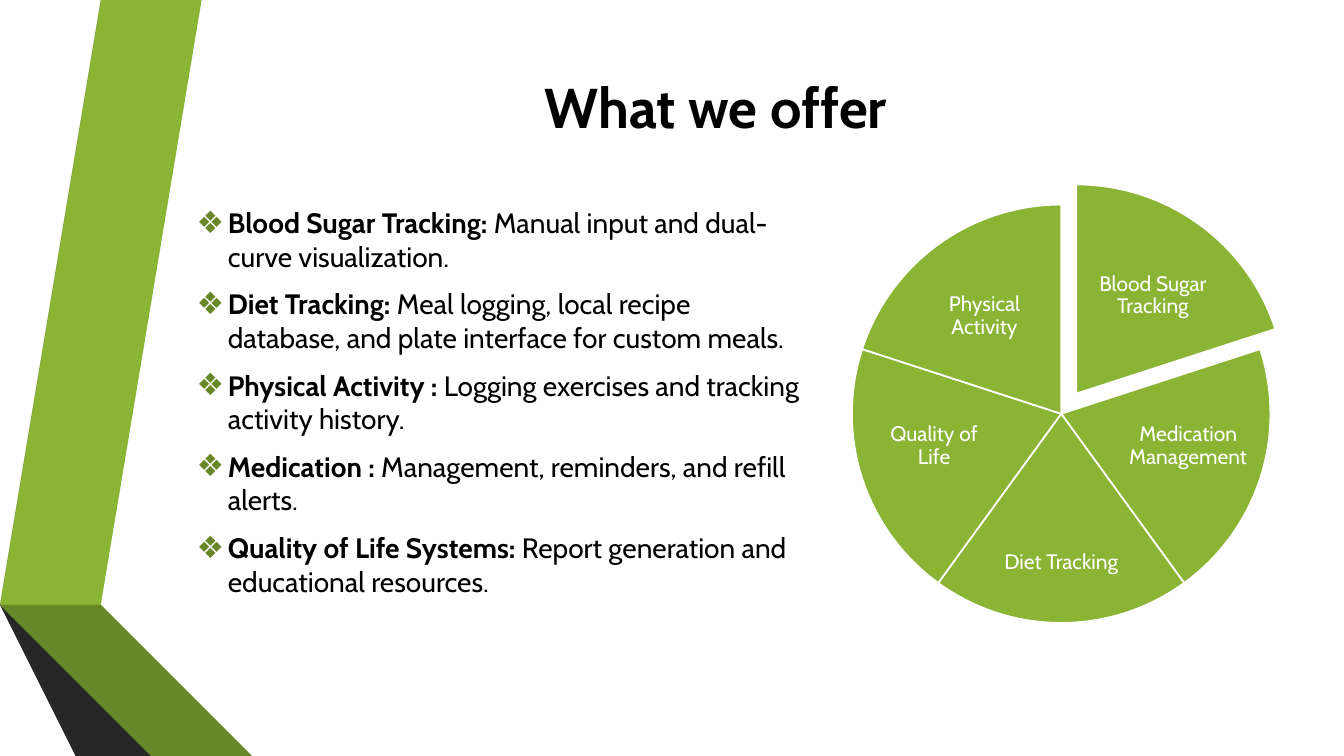
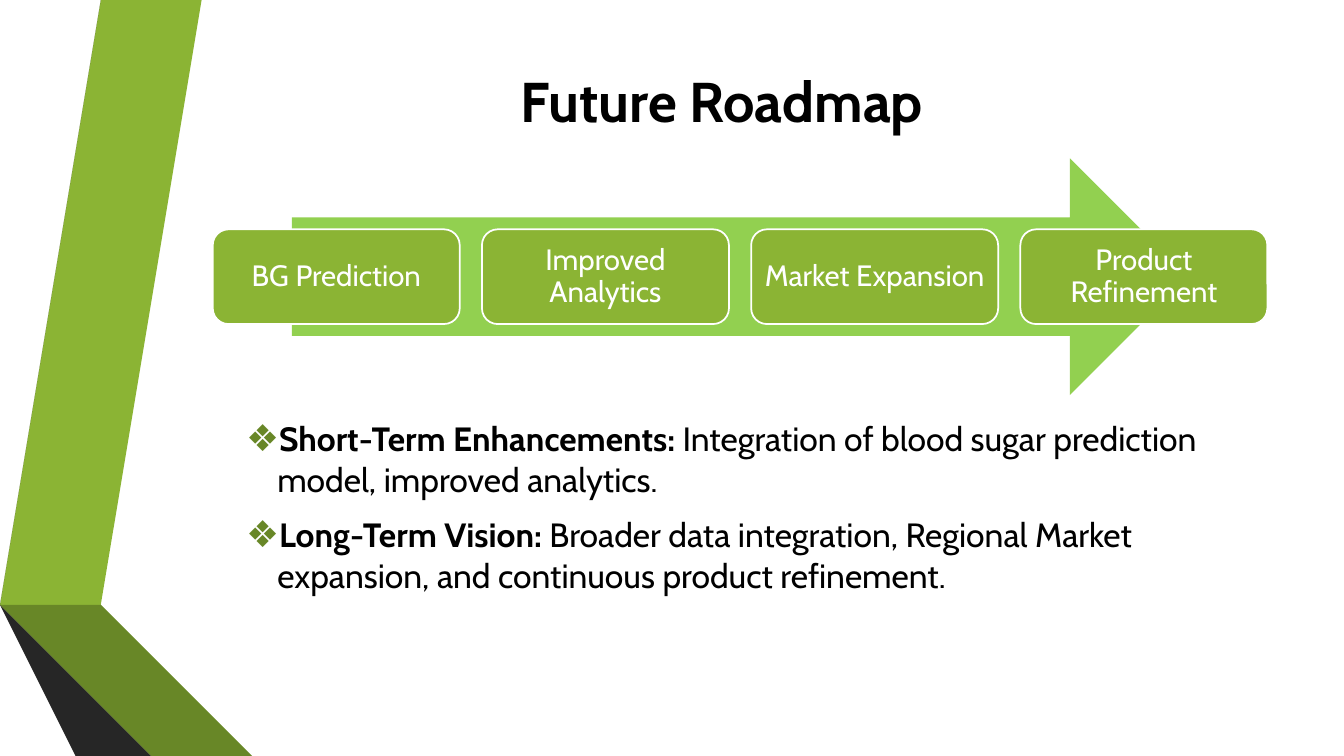
import pptx
import pptx.dml.color
import pptx.enum.shapes
import pptx.enum.text
import pptx.oxml
import pptx.oxml.ns
import pptx.util

Inches = pptx.util.Inches
Pt = pptx.util.Pt
SHAPES = pptx.enum.shapes.MSO_SHAPE
MIDDLE = pptx.enum.text.MSO_ANCHOR.MIDDLE
TOP = pptx.enum.text.MSO_ANCHOR.TOP
CENTER = pptx.enum.text.PP_ALIGN.CENTER

# Shared style
FONT = "Cabin"
BLACK, WHITE = "000000", "FFFFFF"
GREEN, DARK_GREEN, BRIGHT_GREEN = "8BB434", "688727", "92D050"

# Decorative bands: fill and outline points in inches
BANDS = [
    (GREEN, [(0.5, 5.78), (0.77, 5.83), (1.73, 0), (1.45, 0)]),
    ("595959", [(1.39, 0), (1.11, 0), (0.16, 5.73), (0.44, 5.77)]),
    ("262626", [(0.16, 5.73), (1.45, 7.5), (1.51, 7.5)]),
    ("465A1A", [(0.5, 5.79), (2.08, 7.5), (2.14, 7.5)]),
    (DARK_GREEN, [(0.5, 5.78), (2.14, 7.5), (2.83, 7.5), (0.77, 5.83)]),
    ("404040", [(2.02, 7.5), (0.48, 5.83), (0.44, 5.77), (0.16, 5.73), (1.51, 7.5)]),
]

OFFERS = [
    ("Blood Sugar Tracking:", " Manual input and dual-curve visualization."),
    ("Diet Tracking:", " Meal logging, local recipe database, and plate interface for custom meals."),
    ("Physical Activity :", " Logging exercises and tracking activity history."),
    ("Medication :", " Management, reminders, and refill alerts."),
    ("Quality of Life Systems:", " Report generation and educational resources."),
]

# Pie slices, clockwise from the top: label, then its centre offset and size
SLICES = [
    ("Blood Sugar Tracking", 0.76, -0.97, 1.41, 0.96),
    ("Medication Management", 1.26, 0.32, 1.24, 1.04),
    ("Diet Tracking", 0, 1.48, 1.48, 0.89),
    ("Quality of Life", -1.26, 0.32, 1.24, 1.04),
    ("Physical Activity", -0.76, -0.97, 1.41, 0.96),
]

PLANS = [
    ("Short-Term Enhancements:",
     " Integration of blood sugar prediction model, improved analytics."),
    ("Long-Term Vision:",
     " Broader data integration, Regional Market expansion, and continuous product refinement."),
]
STEPS = ["BG Prediction", "Improved Analytics", "Market Expansion", "Product Refinement"]


def color(value):
    return pptx.dml.color.RGBColor.from_string(value)


def place(shape, box):
    shape.left, shape.top, shape.width, shape.height = map(Inches, box)


def paint(shape, fill, line=None):
    shape.shadow.inherit = False
    shape.fill.solid()
    shape.fill.fore_color.rgb = color(fill)
    if line:
        shape.line.color.rgb = color(line)
        shape.line.width = Pt(1.25)
    else:
        shape.line.fill.background()


def style_font(paragraph, size, value):
    paragraph.font.name = FONT
    paragraph.font.size = Pt(size)
    paragraph.font.color.rgb = color(value)


def write_label(shape, text, size, margin):
    frame = shape.text_frame
    frame.word_wrap = True
    frame.vertical_anchor = MIDDLE
    frame.margin_left = frame.margin_right = Inches(margin)
    frame.margin_top = frame.margin_bottom = Inches(margin)
    paragraph = frame.paragraphs[0]
    paragraph.text = text
    paragraph.alignment = CENTER
    paragraph.line_spacing = 0.9
    style_font(paragraph, size, WHITE)


def add_bands(slide):
    """Draw the bands and move them to the layout, so all slides share them."""
    layout_tree = slide.slide_layout.shapes._spTree
    for fill, points in BANDS:
        builder = slide.shapes.build_freeform(*points[0], scale=Inches(1))
        builder.add_line_segments(points[1:], close=True)
        band = builder.convert_to_shape()
        paint(band, fill)
        layout_tree.append(band._element)


def add_title(slide, text, box):
    title = slide.shapes.title
    place(title, box)
    title.text_frame.vertical_anchor = MIDDLE
    paragraph = title.text_frame.paragraphs[0]
    paragraph.text = text
    paragraph.alignment = CENTER
    style_font(paragraph, 40, BLACK)
    paragraph.font.bold = True


def add_bullet(paragraph):
    properties = paragraph._p.get_or_add_pPr()
    properties.set("marL", str(Inches(0.81)))
    properties.set("indent", str(Inches(-0.31)))
    namespace = pptx.oxml.ns.nsdecls("a")
    for xml in (
        f'<a:buClr {namespace}><a:srgbClr val="{DARK_GREEN}"/></a:buClr>',
        f'<a:buSzPct {namespace} val="110000"/>',
        f'<a:buChar {namespace} char="❖"/>',
    ):
        properties.append(pptx.oxml.parse_xml(xml))


def add_list(slide, items, size, box):
    body = slide.placeholders[1]
    place(body, box)
    frame = body.text_frame
    frame.auto_size = pptx.enum.text.MSO_AUTO_SIZE.NONE
    frame.vertical_anchor = TOP
    for index, (heading, detail) in enumerate(items):
        paragraph = frame.add_paragraph() if index else frame.paragraphs[0]
        add_bullet(paragraph)
        paragraph.space_before = Pt(size * 0.2 if index else 0)
        paragraph.space_after = Pt(6)
        style_font(paragraph, size, BLACK)
        for text, bold in ((heading, True), (detail, False)):
            run = paragraph.add_run()
            run.text = text
            run.font.bold = bold


def add_pie(slide, box):
    """Equal slices; the first one is pulled out to the upper right."""
    left, top, width, height = box
    sweep = 360 / len(SLICES)
    for index, (text, across, down, label_width, label_height) in enumerate(SLICES):
        shift = 0 if index else 0.15
        x, y = left + shift, top - shift * 4 / 3
        pie = slide.shapes.add_shape(SHAPES.PIE, *map(Inches, (x, y, width, height)))
        start = 270 + index * sweep
        # Adjustments count 100000ths, angles 60000ths of a degree
        pie.adjustments[0] = start % 360 * 0.6
        pie.adjustments[1] = (start + sweep) % 360 * 0.6
        paint(pie, GREEN, WHITE)
        label_box = (x + width / 2 + across - label_width / 2,
                     y + height / 2 + down - label_height / 2, label_width, label_height)
        label = slide.shapes.add_textbox(*map(Inches, label_box))
        write_label(label, text, 15, 0.02)


def add_roadmap(slide, box):
    """An arrow with a row of equal step boxes across it."""
    left, top, width, height = box
    arrow_box = (left + width * 0.075, top, width * 0.85, height)
    arrow = slide.shapes.add_shape(SHAPES.RIGHT_ARROW, *map(Inches, arrow_box))
    paint(arrow, BRIGHT_GREEN)
    gap = 0.22
    step_width = (width - gap * (len(STEPS) - 1)) / len(STEPS)
    for index, text in enumerate(STEPS):
        step_box = (left + index * (step_width + gap), top + height * 0.3,
                    step_width, height * 0.4)
        step = slide.shapes.add_shape(SHAPES.ROUNDED_RECTANGLE, *map(Inches, step_box))
        paint(step, GREEN, WHITE)
        write_label(step, text, 21, 0.07)


def build_offer_slide(slide):
    add_title(slide, "What we offer", (1.62, 0.37, 10.96, 1.37))
    add_list(slide, OFFERS, 20, (1.35, 1.99, 6.73, 4.1))
    add_pie(slide, (8.45, 2.03, 4.15, 4.15))


def build_roadmap_slide(slide):
    add_title(slide, "Future Roadmap", (1.68, 0.46, 10.96, 1.07))
    add_list(slide, PLANS, 24, (1.84, 4.1, 10.74, 1.95))
    add_roadmap(slide, (2.11, 1.57, 10.46, 2.35))


def main():
    presentation = pptx.Presentation()
    presentation.slide_width = Inches(13.33)
    presentation.slide_height = Inches(7.5)
    layout = presentation.slide_layouts[1]
    offer_slide = presentation.slides.add_slide(layout)
    add_bands(offer_slide)
    build_offer_slide(offer_slide)
    build_roadmap_slide(presentation.slides.add_slide(layout))
    presentation.save("out.pptx")


if __name__ == "__main__":
    main()
